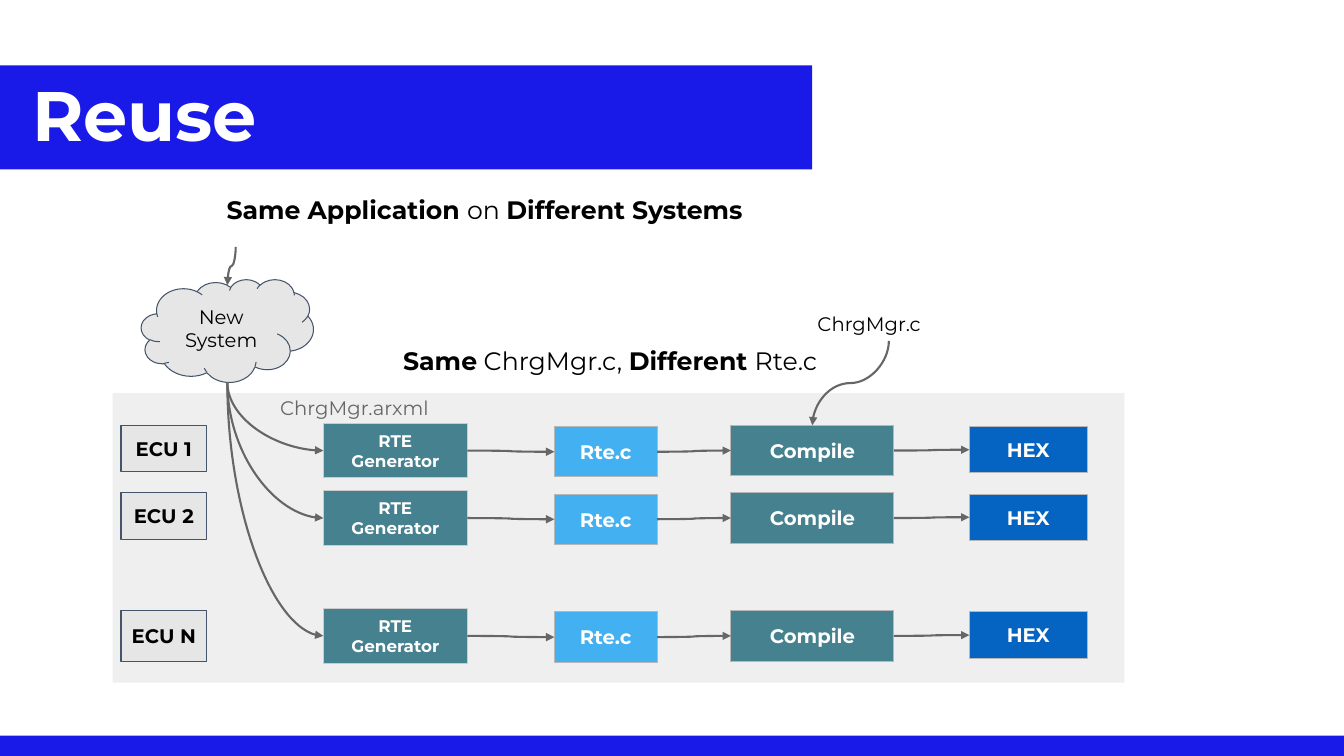
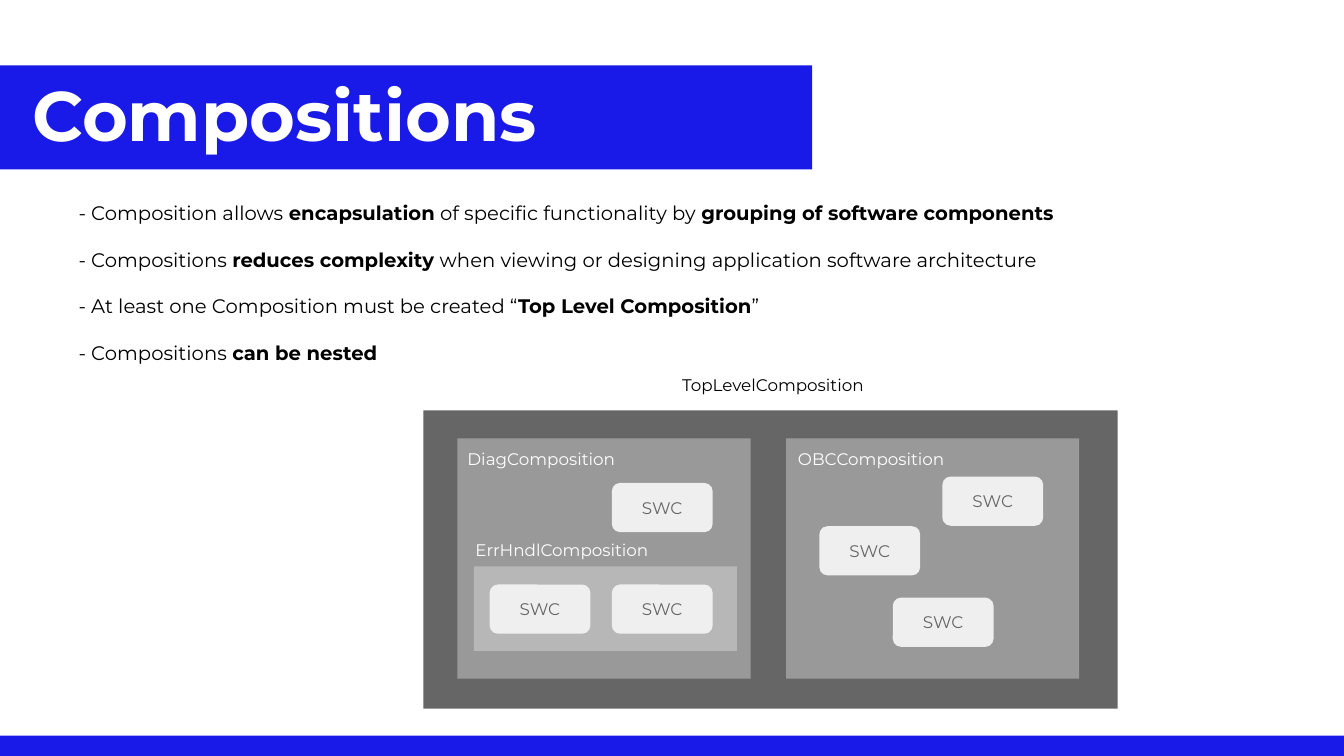
import dataclasses

import pptx
import pptx.dml.color
import pptx.enum.shapes
import pptx.enum.text
import pptx.oxml.ns
import pptx.oxml.xmlchemy
import pptx.util
from lxml import etree

Cm = pptx.util.Cm
Pt = pptx.util.Pt
qn = pptx.oxml.ns.qn
Preset = pptx.enum.shapes.MSO_SHAPE
Align = pptx.enum.text.PP_ALIGN
Anchor = pptx.enum.text.MSO_ANCHOR


@dataclasses.dataclass(frozen=True)
class Theme:
    font: str = "Montserrat"
    # Colours
    brand: str = "1A1AE8"
    white: str = "FFFFFF"
    black: str = "000000"
    panel: str = "EFEFEF"
    node: str = "E7E6E6"
    node_line: str = "44546A"
    step: str = "45818E"
    step_line: str = "CCCCCC"
    source: str = "43B0F1"
    binary: str = "0563C1"
    box_line: str = "B7B7B7"
    dark: str = "666666"
    middle: str = "999999"
    light: str = "B7B7B7"
    # Type sizes in points
    title: int = 50
    heading: int = 18
    body: int = 14
    small: int = 12


THEME = Theme()


def rgb(value):
    return pptx.dml.color.RGBColor.from_string(value)


def write(frame, text, *, size=THEME.body, color=THEME.black, bold=False,
          align=Align.LEFT, anchor=Anchor.TOP, margin_y=0.25,
          line_spacing=None, gap=0):
    """Fill a text frame; lines become paragraphs, ** switches bold."""
    frame.word_wrap = True
    frame.vertical_anchor = anchor
    frame.margin_left = frame.margin_right = Cm(0.25)
    frame.margin_top = frame.margin_bottom = Cm(margin_y)
    for index, line in enumerate(text.split("\n")):
        paragraph = frame.add_paragraph() if index else frame.paragraphs[0]
        paragraph.alignment = align
        if line_spacing:
            paragraph.line_spacing = line_spacing
        if index and gap:
            paragraph.space_before = Pt(gap)
        for part, words in enumerate(line.split("**")):
            if not words:
                continue
            run = paragraph.add_run()
            run.text = words
            run.font.name = THEME.font
            run.font.size = Pt(size)
            run.font.bold = bold or part % 2 == 1
            run.font.color.rgb = rgb(color)


class Deck:
    def __init__(self, theme):
        self.theme = theme
        self.presentation = pptx.Presentation()
        self.presentation.slide_width = Cm(33.87)
        self.presentation.slide_height = Cm(19.05)
        self.slide = None

    def new_slide(self, title):
        """Start a slide with the title band and the footer band."""
        layout = self.presentation.slide_layouts[6]
        self.slide = self.presentation.slides.add_slide(layout)
        self.box(0, 1.65, 20.47, 2.62, self.theme.brand)
        self.box(0, 18.54, 33.87, 0.51, self.theme.brand)
        self.label(0.56, 1.68, 19.91, 2.62, title, size=self.theme.title,
                   color=self.theme.white, bold=True, anchor=Anchor.MIDDLE,
                   margin_y=0.13, line_spacing=0.9)

    def box(self, left, top, width, height, fill, *, line=None, text="",
            preset=Preset.RECTANGLE, **style):
        shape = self.slide.shapes.add_shape(
            preset, Cm(left), Cm(top), Cm(width), Cm(height))
        shape.shadow.inherit = False
        shape.fill.solid()
        shape.fill.fore_color.rgb = rgb(fill)
        if line:
            shape.line.color.rgb = rgb(line)
            shape.line.width = Pt(0.75)
        else:
            shape.line.fill.background()
        if text:
            write(shape.text_frame, text, align=Align.CENTER,
                  anchor=Anchor.MIDDLE, **style)
        return shape

    def label(self, left, top, width, height, text, **style):
        shape = self.slide.shapes.add_textbox(
            Cm(left), Cm(top), Cm(width), Cm(height))
        write(shape.text_frame, text, **style)
        return shape

    def arrow(self, begin=None, end=None):
        """Add a curved arrow; begin and end are (shape, site) pairs."""
        connector = self.slide.shapes.add_connector(
            pptx.enum.shapes.MSO_CONNECTOR.CURVE, 0, 0, 0, 0)
        connector.line.color.rgb = rgb(self.theme.dark)
        connector.line.width = Pt(1.5)
        line = connector.line._get_or_add_ln()
        etree.SubElement(line, qn("a:tailEnd"), type="triangle")
        etree.SubElement(connector.element.spPr, qn("a:effectLst"))
        if begin:
            connector.begin_connect(*begin)
        if end:
            connector.end_connect(*end)
        return connector

    def arrow_down(self, start, finish, *, begin=None, end=None,
                   geometry="curvedConnector3"):
        """Add an arrow that leaves downwards: a connector on its side."""
        connector = self.arrow(begin, end)
        (x0, y0), (x1, y1) = start, finish
        half_x, half_y = (x1 - x0) / 2, (y1 - y0) / 2
        center_x, center_y = x0 + half_x, y0 + half_y
        turn = -1 if x1 > x0 else 1
        connector.begin_x = Cm(center_x - turn * half_y)
        connector.begin_y = Cm(center_y + turn * half_x)
        connector.end_x = Cm(center_x + turn * half_y)
        connector.end_y = Cm(center_y - turn * half_x)
        connector.rotation = 90 * turn % 360
        properties = connector.element.spPr
        properties.find(qn("a:prstGeom")).set("prst", geometry)


def build_reuse(deck):
    theme = deck.theme
    deck.new_slide("Reuse")
    deck.box(2.84, 9.91, 25.5, 7.29, theme.panel)
    cloud = deck.box(3.56, 7.04, 4.34, 2.59, theme.node,
                     line=theme.node_line, text="New System",
                     preset=Preset.CLOUD)
    cloud_x, cloud_bottom = 5.73, 9.63

    # Steps: left, offset from row top, width, height, fill, line, text, size
    steps = [
        (8.15, 0, 3.63, 1.37, theme.step, theme.step_line,
         "RTE Generator", theme.small),
        (13.97, 0.08, 2.59, 1.27, theme.source, theme.box_line,
         "Rte.c", theme.body),
        (18.42, 0.05, 4.11, 1.27, theme.step, theme.box_line,
         "Compile", theme.body),
        (24.43, 0.08, 2.97, 1.17, theme.binary, theme.box_line,
         "HEX", theme.body),
    ]

    # One row for each control unit
    compilers = []
    for name, top, height in [("ECU 1", 10.67, 1.17), ("ECU 2", 12.37, 1.17),
                              ("ECU N", 15.34, 1.27)]:
        deck.box(3.05, top + 0.05, 2.16, height, theme.node,
                 line=theme.node_line, text=name, bold=True)
        row = [deck.box(left, top + offset, width, step_height, fill,
                        line=line, text=text, size=size, color=theme.white,
                        bold=True)
               for left, offset, width, step_height, fill, line, text, size
               in steps]
        for before, after in zip(row, row[1:]):
            deck.arrow((before, 3), (after, 1))
        deck.arrow_down((cloud_x, cloud_bottom), (8.15, top + 0.685),
                        begin=(cloud, 1), end=(row[0], 1),
                        geometry="curvedConnector2")
        compilers.append(row[2])

    # Labels and the arrows that come from outside
    deck.label(6.81, 9.73, 4.6, 0.97, "ChrgMgr.arxml", color=theme.dark)
    code = deck.label(20.35, 7.62, 4.09, 0.97, "ChrgMgr.c")
    deck.label(5.46, 4.65, 14.33, 1.5,
               "**Same Application **on **Different Systems**",
               size=theme.heading)
    deck.label(9.91, 8.46, 11.35, 1.5,
               "**Same** ChrgMgr.c, **Different **Rte.c", size=theme.heading)
    deck.arrow_down((22.4, 8.59), (20.47, 10.72),
                    begin=(code, 2), end=(compilers[0], 0))
    deck.arrow_down((5.94, 6.22), (cloud_x, 7.19), end=(cloud, 3))


def build_compositions(deck):
    theme = deck.theme
    deck.new_slide("Compositions")
    deck.label(
        1.73, 4.93, 26.95, 4.6,
        "- Composition allows **encapsulation** of specific functionality by "
        "**grouping of software components**\n"
        "- Compositions **reduces complexity **when viewing or designing "
        "application software architecture\n"
        "- At least one Composition must be created “**Top Level "
        "Composition**”\n"
        "- Compositions **can be nested**",
        margin_y=0.13, gap=16.5)

    # Nested compositions
    for left, top, width, height, fill in [
            (10.67, 10.34, 17.5, 7.52, theme.dark),
            (11.53, 11.05, 7.39, 6.05, theme.middle),
            (19.81, 11.05, 7.39, 6.05, theme.middle),
            (11.94, 14.27, 6.63, 2.13, theme.light)]:
        deck.box(left, top, width, height, fill)

    # Software components
    for left, top in [(15.42, 12.17), (12.34, 14.73), (15.42, 14.73),
                      (23.75, 12.01), (20.65, 13.26), (22.5, 15.06)]:
        deck.box(left, top, 2.54, 1.24, theme.panel, text="SWC",
                 size=theme.small, color=theme.dark,
                 preset=Preset.ROUNDED_RECTANGLE)

    # Composition names
    for left, top, text, color in [
            (16.94, 9.19, "TopLevelComposition", theme.black),
            (11.53, 11.05, "DiagComposition", theme.white),
            (19.86, 11.05, "OBCComposition", theme.white),
            (11.73, 13.36, "ErrHndlComposition", theme.white)]:
        deck.label(left, top, 5.6, 1.14, text, size=theme.small, color=color)


def main():
    deck = Deck(THEME)
    build_reuse(deck)
    build_compositions(deck)
    deck.presentation.save("out.pptx")


if __name__ == "__main__":
    main()
